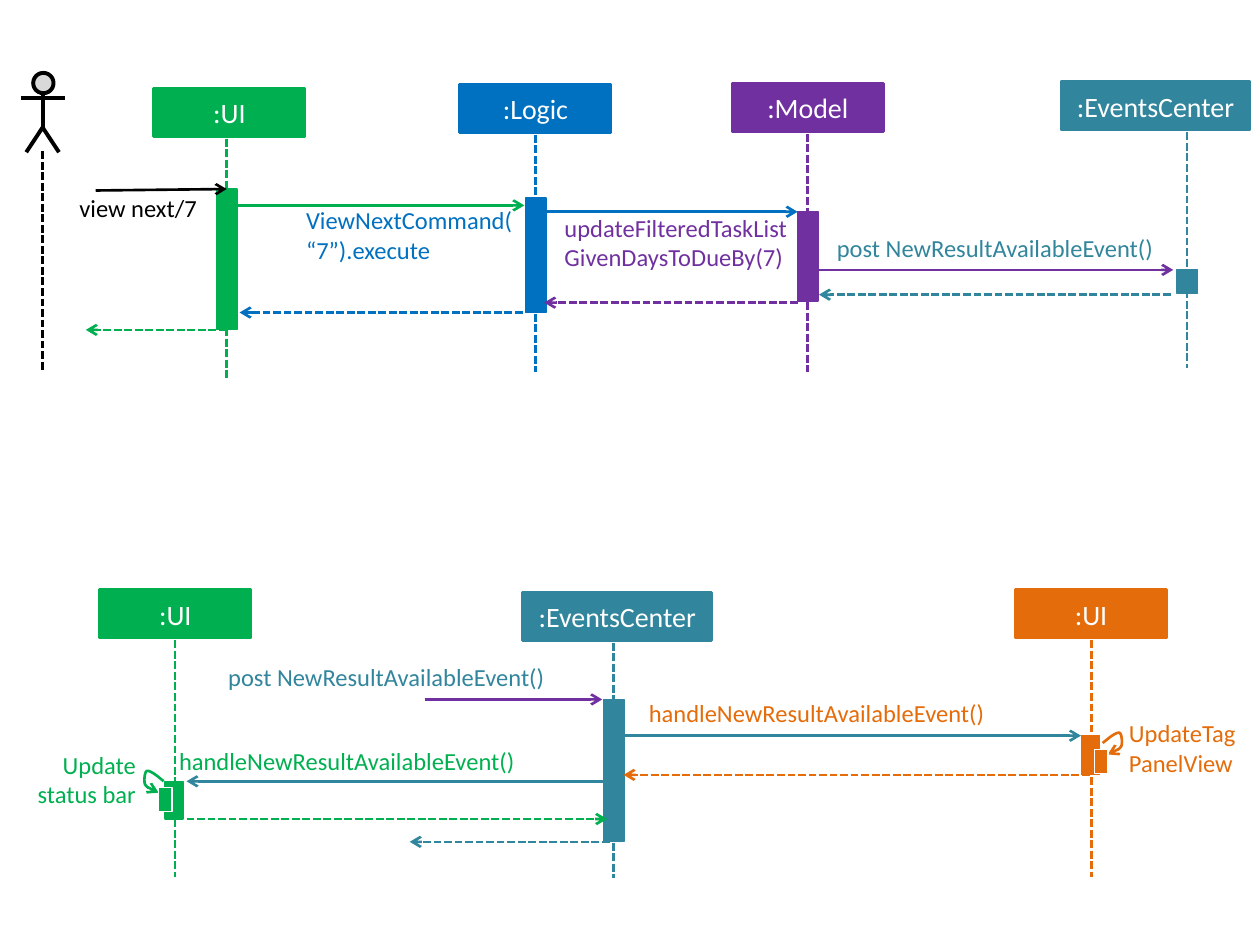
"""Build a slide with two sequence diagrams for showing upcoming tasks."""
from dataclasses import dataclass

from lxml import etree
from pptx import Presentation
from pptx import util as u
from pptx.dml.color import RGBColor
from pptx.enum import dml, shapes, text
from pptx.oxml import ns


@dataclass(frozen=True)
class Theme:
    """Colours, type and line sizes of the slide."""
    green: str = "00B050"
    blue: str = "0070C0"
    purple: str = "7030A0"
    teal: str = "31859C"
    orange: str = "E46C0A"
    black: str = "000000"
    white: str = "FFFFFF"
    grey: str = "D9D9D9"
    font: str = "Calibri"
    title_size: int = 16
    label_size: int = 14
    line: float = 1.5
    thin: float = 0.75
    thick: float = 2.25


THEME = Theme()
BOX_HEIGHT = 0.97
BAR_WIDTH = 0.41
NARROW_BAR = 0.36
LOOP = [(0.1, -0.23), (-0.02, -0.33), (-0.15, -0.44), (-0.23, -0.44), (-0.28, -0.44),
        (-0.3, -0.26), (-0.28, -0.18), (-0.25, -0.1), (-0.13, -0.05), (0, 0)]


def style_line(line, color, width=THEME.line, dashed=False, arrow=False):
    """Set colour, width, dash and end arrow of a line."""
    line.color.rgb = RGBColor.from_string(color)
    line.width = u.Pt(width)
    if dashed:
        line.dash_style = dml.MSO_LINE.SQUARE_DOT
    if arrow:
        etree.SubElement(line._get_or_add_ln(), ns.qn("a:tailEnd"), type="arrow")


def style_text(frame, color, size, align):
    """Format every paragraph and run of a text frame."""
    for paragraph in frame.paragraphs:
        paragraph.alignment = align
        for span in paragraph.runs:
            span.font.name = THEME.font
            span.font.size = u.Pt(size)
            span.font.color.rgb = RGBColor.from_string(color)


def add_block(canvas, left, top, width, height, fill, outline, weight,
              kind=shapes.MSO_SHAPE.RECTANGLE):
    """Add a filled preset shape."""
    block = canvas.add_shape(kind, u.Cm(left), u.Cm(top), u.Cm(width), u.Cm(height))
    block.shadow.inherit = False
    block.fill.solid()
    block.fill.fore_color.rgb = RGBColor.from_string(fill)
    style_line(block.line, outline, weight)
    return block


def add_line(canvas, start, end, color, **style):
    """Add a straight connector between two points."""
    points = [u.Cm(value) for value in (*start, *end)]
    connector = canvas.add_connector(shapes.MSO_CONNECTOR.STRAIGHT, *points)
    etree.SubElement(connector._element.spPr, ns.qn("a:effectLst"))
    style_line(connector.line, color, **style)


def add_path(canvas, points, color, **style):
    """Add an open, unfilled outline through the points."""
    first, *rest = [(u.Cm(x), u.Cm(y)) for x, y in points]
    builder = canvas.build_freeform(*first)
    builder.add_line_segments(rest, close=False)
    outline = builder.convert_to_shape()
    outline.shadow.inherit = False
    outline.fill.background()
    style_line(outline.line, color, **style)


def add_label(canvas, words, left, top, width, color, align=text.PP_ALIGN.LEFT):
    """Add a text box without margins."""
    rows = 2 if width < 5 and len(words) > 11 else 1
    box = canvas.add_textbox(u.Cm(left), u.Cm(top), u.Cm(width), u.Cm(0.6 * rows))
    frame = box.text_frame
    frame.word_wrap = True
    frame.auto_size = text.MSO_AUTO_SIZE.SHAPE_TO_FIT_TEXT
    frame.margin_left = frame.margin_right = frame.margin_top = frame.margin_bottom = 0
    frame.text = words
    style_text(frame, color, THEME.label_size, align)


def add_participant(canvas, name, color, left, top, width, axis, end, bar):
    """Add a titled box, its lifeline and its activation bar."""
    box = add_block(canvas, left, top, width, BOX_HEIGHT, color, color, THEME.line)
    frame = box.text_frame
    frame.text = name
    frame.vertical_anchor = text.MSO_ANCHOR.MIDDLE
    style_text(frame, THEME.white, THEME.title_size, text.PP_ALIGN.CENTER)
    add_line(canvas, (axis, top + BOX_HEIGHT + 0.05), (axis, end), color, dashed=True)
    bar_top, bar_width, bar_height = bar
    add_block(canvas, axis - 0.2, bar_top, bar_width, bar_height, color, color, THEME.thin)


def add_actor(canvas):
    """Add the stick figure and its lifeline."""
    figure = canvas.add_group_shape().shapes
    axis, pen = 0.86, {"color": THEME.black, "width": THEME.thick}
    add_block(figure, 0.67, 1.47, 0.41, 0.41, THEME.grey, THEME.black, THEME.thick,
              shapes.MSO_SHAPE.FLOWCHART_CONNECTOR)
    add_line(figure, (axis, 1.88), (axis, 2.59), **pen)
    add_path(figure, [(0.53, 3.07), (axis, 2.57), (1.19, 3.07)], **pen)
    add_line(figure, (0.43, 1.98), (1.32, 1.98), **pen)
    add_line(canvas, (axis, 3.05), (axis, 7.49), THEME.black, dashed=True)


def curve_points(controls, steps=8):
    """Return points along a chain of cubic curves."""
    points = [controls[0]]
    for index in range(0, len(controls) - 1, 3):
        a, b, c, d = controls[index:index + 4]
        for step in range(1, steps + 1):
            t = step / steps
            weights = ((1 - t) ** 3, 3 * t * (1 - t) ** 2, 3 * t * t * (1 - t), t ** 3)
            points.append(tuple(sum(w * p[axis] for w, p in zip(weights, (a, b, c, d)))
                                for axis in (0, 1)))
    return points


def add_self_call(canvas, tip_x, tip_y, side, color):
    """Add a looping arrow and the nested bar it points to."""
    group = canvas.add_group_shape().shapes
    controls = [(tip_x + side * x, tip_y + y) for x, y in LOOP]
    add_path(group, curve_points(controls), color, arrow=True)
    add_block(group, tip_x + side * 0.13 - 0.14, tip_y - 0.1, 0.28, 0.48,
              color, THEME.white, THEME.thin)


def main():
    """Build and save the slide."""
    deck = Presentation()
    deck.slide_width, deck.slide_height = u.Cm(25.4), u.Cm(19.05)
    page = deck.slides.add_slide(deck.slide_layouts[6])
    canvas = page.shapes
    t = THEME
    participants = [
        (":UI", t.green, 3.1, 1.78, 3.05, 4.57, 7.62, (3.81, BAR_WIDTH, 2.84)),
        (":Logic", t.blue, 9.27, 1.7, 3.05, 10.8, 7.49, (3.99, BAR_WIDTH, 2.31)),
        (":Model", t.purple, 14.76, 1.68, 3.05, 16.28, 7.49, (4.27, BAR_WIDTH, 1.8)),
        (":EventsCenter", t.teal, 21.39, 1.65, 3.81, 23.93, 7.42, (5.44, BAR_WIDTH, 0.48)),
        (":UI", t.orange, 20.47, 11.89, 3.05, 22, 17.68, (14.83, NARROW_BAR, 0.79)),
        (":EventsCenter", t.teal, 10.54, 11.94, 3.81, 12.37, 17.7, (14.1, BAR_WIDTH, 2.87)),
        (":UI", t.green, 2.01, 11.89, 3.05, 3.53, 17.68, (15.75, NARROW_BAR, 0.76)),
    ]
    calls = [
        ((1.93, 3.84), (4.57, 3.81), t.black),
        ((4.8, 4.14), (10.57, 4.14), t.green),
        ((10.97, 4.27), (16.08, 4.27), t.blue),
        ((16.51, 5.44), (23.65, 5.44), t.purple),
        ((8.56, 14.1), (12.14, 14.1), t.purple),
        ((12.57, 14.83), (21.79, 14.83), t.teal),
        ((12.24, 15.75), (3.76, 15.75), t.teal),
    ]
    returns = [
        ((16.08, 6.1), (10.97, 6.1), t.purple),
        ((10.54, 6.3), (4.83, 6.3), t.blue),
        ((4.57, 6.65), (1.73, 6.65), t.green),
        ((23.6, 5.94), (16.51, 5.94), t.teal),
        ((21.97, 15.62), (12.57, 15.62), t.orange),
        ((3.76, 16.51), (12.24, 16.51), t.green),
        ((12.29, 16.97), (8.26, 16.97), t.teal),
    ]
    labels = [
        ("view next/7", 1.6, 3.89, 2.39, t.black),
        ("ViewNextCommand(“7”).execute", 6.17, 4.14, 4.22, t.blue),
        ("updateFilteredTaskListGivenDaysToDueBy(7)", 11.38, 4.29, 4.52, t.purple),
        ("post NewResultAvailableEvent()", 16.87, 4.7, 8.31, t.teal),
        ("post NewResultAvailableEvent()", 4.6, 13.34, 7.98, t.teal),
        ("handleNewResultAvailableEvent()", 13.08, 14.07, 8.28, t.orange),
        ("handleNewResultAvailableEvent()", 3.61, 15.04, 8.31, t.green),
        ("Update status bar", 0.53, 15.11, 2.21, t.green, text.PP_ALIGN.RIGHT),
        ("UpdateTag\nPanelView", 22.76, 14.48, 2.24, t.orange),
    ]
    add_actor(canvas)
    for participant in participants:
        add_participant(canvas, *participant)
    for dashed, messages in ((False, calls), (True, returns)):
        for message in messages:
            add_line(canvas, *message, dashed=dashed, arrow=True)
    for label in labels:
        add_label(canvas, *label)
    add_self_call(canvas, 3.2, 15.98, 1, t.green)
    add_self_call(canvas, 22.33, 15.21, -1, t.orange)
    deck.save("out.pptx")


main()
